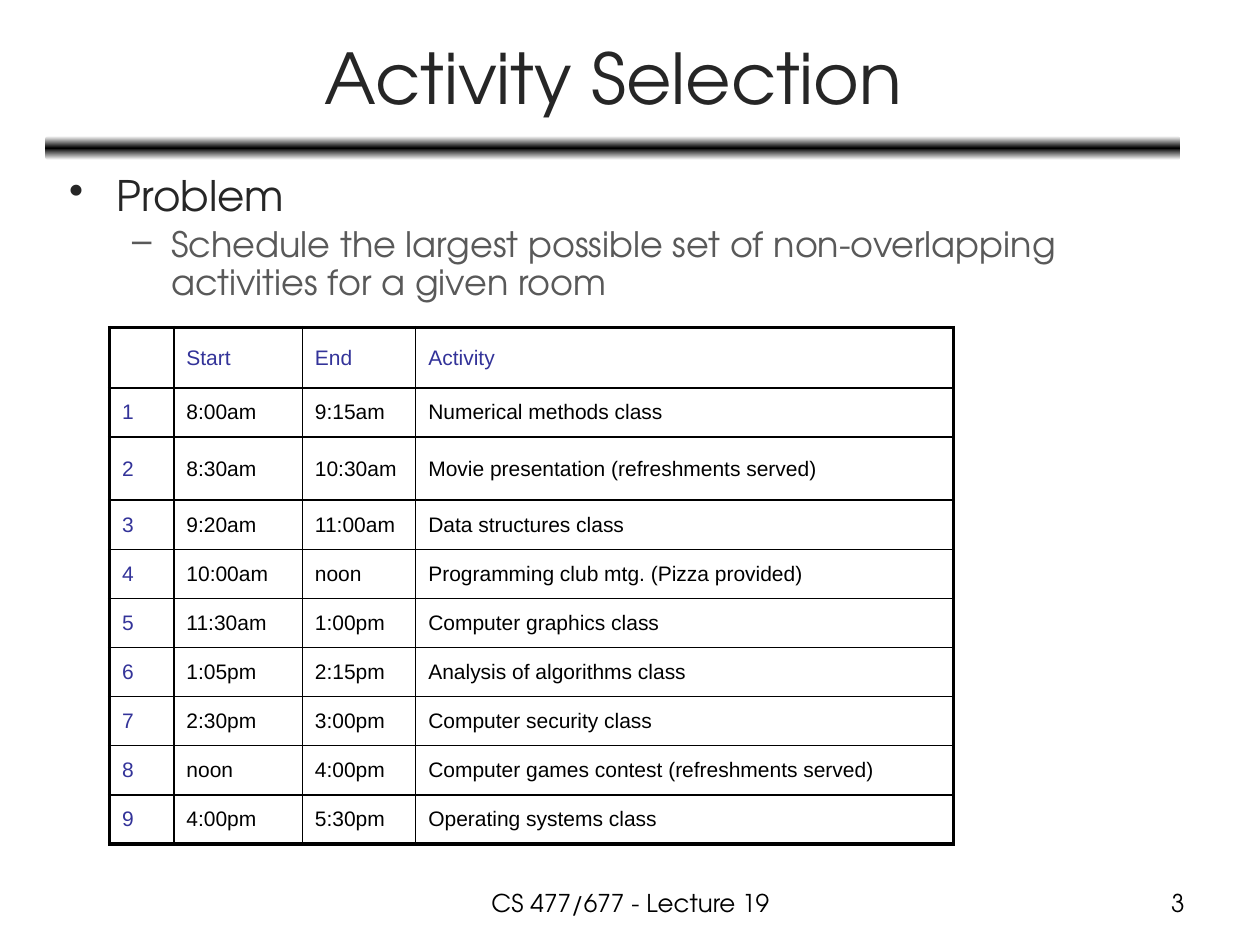
import copy

import pptx
import pptx.dml.color
import pptx.enum.shapes
import pptx.enum.text
import pptx.oxml
import pptx.oxml.ns
import pptx.util
from pptx.util import Inches

COLORS = {"black": "000000", "white": "FFFFFF", "title": "262626",
          "detail": "595959", "label": "333399"}
DISPLAY = "TeX Gyre Adventor"
ALIGN = pptx.enum.text.PP_ALIGN
MIDDLE = pptx.enum.text.MSO_ANCHOR.MIDDLE


def style(p, size, color, font=DISPLAY, align=ALIGN.LEFT):
    p.alignment = align
    for r in p.runs:
        r.font.size = pptx.util.Pt(size)
        r.font.name = font
        r.font.color.rgb = pptx.dml.color.RGBColor.from_string(COLORS[color])


def add_xml(parent, xml):
    ns = pptx.oxml.ns.nsdecls("a")
    parent.append(pptx.oxml.parse_xml(xml.replace(" ", f" {ns} ", 1)))


prs = pptx.Presentation()
prs.slide_width, prs.slide_height = Inches(10), Inches(7.5)
s = prs.slides.add_slide(prs.slide_layouts[5])

# Title
title = s.shapes.title
title.left, title.top = Inches(0.37), Inches(0.11)
title.width, title.height = Inches(9), Inches(0.99)
tf = title.text_frame
tf.text = "Activity Selection"
tf.vertical_anchor = MIDDLE
style(tf.paragraphs[0], 40, "title", align=ALIGN.CENTER)

# Gradient bar under the title
bar = s.shapes.add_shape(pptx.enum.shapes.MSO_SHAPE.ROUNDED_RECTANGLE,
                         Inches(0.36), Inches(1.08), Inches(9.01), Inches(0.19))
bar.shadow.inherit = False
bar.line.fill.background()
bar.fill.gradient()
bar.fill.gradient_angle = 90
stops = bar._element.spPr.find(".//" + pptx.oxml.ns.qn("a:gsLst"))
stops.append(copy.deepcopy(stops[-1]))
for stop, position, color in zip(bar.fill.gradient_stops, (0, 0.5, 1),
                                 ("white", "black", "white")):
    stop.position = position
    stop.color.rgb = pptx.dml.color.RGBColor.from_string(COLORS[color])

# Problem statement: text, bullet, size, colour, level, margin, hanging indent
problem = [
    ("Problem", "•", 24, "title", 0, 0.38, -0.38),
    ("Schedule the largest possible set of non-overlapping activities for a given room",
     "–", 20, "detail", 1, 0.81, -0.31),
]
tf = s.shapes.add_textbox(Inches(0.45), Inches(1.34), Inches(8.3), Inches(1.21)).text_frame
tf.word_wrap = True
for i, (text, bullet, size, color, level, margin, indent) in enumerate(problem):
    p = tf.add_paragraph() if i else tf.paragraphs[0]
    p.text = text
    p.level = level
    p.line_spacing = 0.9
    p.space_before = pptx.util.Pt(size * 0.2)
    style(p, size, color)
    pPr = p._p.get_or_add_pPr()
    pPr.set("marL", str(Inches(margin)))
    pPr.set("indent", str(Inches(indent)))
    add_xml(pPr, f'<a:buChar char="{bullet}"/>')

# Activity table
activities = [
    ("", "Start", "End", "Activity"),
    ("1", "8:00am", "9:15am", "Numerical methods class"),
    ("2", "8:30am", "10:30am", "Movie presentation (refreshments served)"),
    ("3", "9:20am", "11:00am", "Data structures class"),
    ("4", "10:00am", "noon", "Programming club mtg. (Pizza provided)"),
    ("5", "11:30am", "1:00pm", "Computer graphics class"),
    ("6", "1:05pm", "2:15pm", "Analysis of algorithms class"),
    ("7", "2:30pm", "3:00pm", "Computer security class"),
    ("8", "noon", "4:00pm", "Computer games contest (refreshments served)"),
    ("9", "4:00pm", "5:30pm", "Operating systems class"),
]
col_widths = [0.51, 1.02, 0.9, 4.27]
row_heights = [0.48, 0.39, 0.5] + [0.39] * 7
table = s.shapes.add_table(len(row_heights), len(col_widths), Inches(0.87), Inches(2.6),
                           Inches(sum(col_widths)), Inches(sum(row_heights))).table
table.first_row = table.horz_banding = False
for col, width in zip(table.columns, col_widths):
    col.width = Inches(width)
for row, height in zip(table.rows, row_heights):
    row.height = Inches(height)

last_row, last_col = len(row_heights) - 1, len(col_widths) - 1
for i, row in enumerate(activities):
    for j, text in enumerate(row):
        cell = table.cell(i, j)
        cell.text = text
        cell.vertical_anchor = MIDDLE
        p = cell.text_frame.paragraphs[0]
        p.space_before = pptx.util.Pt(2.4)
        style(p, 12, "label" if i == 0 or j == 0 else "black", "Arial")
        # Outer edges are thicker than the inner grid
        edges = {"L": j == 0, "R": j == last_col, "T": i == 0, "B": i == last_row}
        for side, outer in edges.items():
            width = pptx.util.Pt(2.25 if outer else 1)
            add_xml(cell._tc.get_or_add_tcPr(),
                    f'<a:ln{side} w="{width}"><a:solidFill>'
                    f'<a:srgbClr val="{COLORS["black"]}"/></a:solidFill></a:ln{side}>')
        cell.fill.background()

# Footer and slide number
for text, left, width, align in [
    ("CS 477/677 - Lecture 19", 3.42, 3.17, ALIGN.CENTER),
    ("3", 7.17, 2.33, ALIGN.RIGHT),
]:
    tf = s.shapes.add_textbox(Inches(left), Inches(7), Inches(width), Inches(0.35)).text_frame
    tf.word_wrap = True
    tf.text = text
    style(tf.paragraphs[0], 14, "black", align=align)

prs.save("out.pptx")
